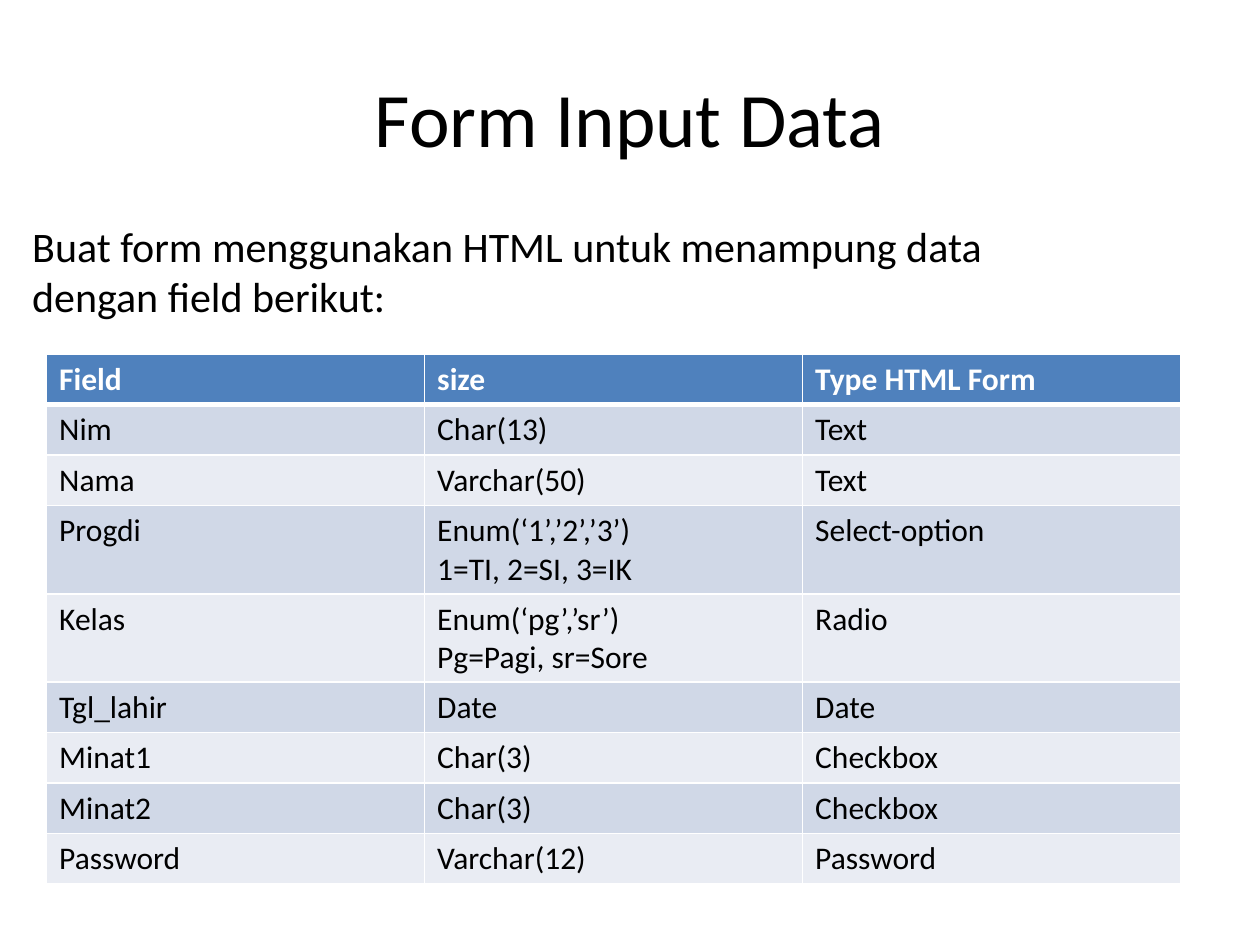
"""Build a slide that lists the fields of an HTML data entry form."""
from lxml.etree import SubElement
from pptx import Presentation
from pptx.dml.color import RGBColor
from pptx.enum.text import MSO_ANCHOR as Anchor, PP_ALIGN as Align
from pptx.oxml.ns import qn
from pptx.util import Cm, Pt

TITLE = "Form Input Data"
INTRO = "Buat form menggunakan HTML untuk menampung data\ndengan field berikut:"
ROWS = [
    ("Field", "size", "Type HTML Form"),
    ("Nim", "Char(13)", "Text"),
    ("Nama", "Varchar(50)", "Text"),
    ("Progdi", "Enum(‘1’,’2’,’3’)\n1=TI, 2=SI, 3=IK", "Select-option"),
    ("Kelas", "Enum(‘pg’,’sr’)\nPg=Pagi, sr=Sore", "Radio"),
    ("Tgl_lahir", "Date", "Date"),
    ("Minat1", "Char(3)", "Checkbox"),
    ("Minat2", "Char(3)", "Checkbox"),
    ("Password", "Varchar(12)", "Password"),
]
FONT = "Calibri"
BLACK = RGBColor(0, 0, 0)
WHITE = RGBColor(255, 255, 255)
BLUE = RGBColor(0x4F, 0x81, 0xBD)
BANDS = RGBColor(0xE9, 0xEC, 0xF3), RGBColor(0xD0, 0xD8, 0xE7)
LOW, LINE = 0.99, 0.74
THIN, THICK = Pt(0.96), Pt(3)


def write(frame, text, size, color=BLACK, bold=False, align=Align.LEFT):
    frame.text = text
    for para in frame.paragraphs:
        para.alignment = align
        for run in para.runs:
            font = run.font
            font.name, font.size, font.bold = FONT, Pt(size), bold
            font.color.rgb = color


def add_text(slide, box, text, size, align=Align.LEFT, anchor=Anchor.TOP):
    frame = slide.shapes.add_textbox(*map(Cm, box)).text_frame
    frame.word_wrap = True
    frame.vertical_anchor = anchor
    write(frame, text, size, align=align)


def set_edges(cell, top, bottom):
    props = cell._tc.get_or_add_tcPr()
    for side, width in zip("LRTB", (THIN, THIN, top, bottom)):
        edge = SubElement(props, qn(f"a:ln{side}"), w=str(int(width)))
        fill = SubElement(edge, qn("a:solidFill"))
        SubElement(fill, qn("a:srgbClr"), val=str(WHITE))


def add_grid(slide):
    highs = [LOW + LINE * max(text.count("\n") for text in row) for row in ROWS]
    box = map(Cm, (0.94, 7.14, 22.86, sum(highs)))
    grid = slide.shapes.add_table(len(ROWS), len(ROWS[0]), *box).table
    for r, row in enumerate(ROWS):
        grid.rows[r].height = Cm(highs[r])
        head = r == 0
        for c, text in enumerate(row):
            cell = grid.cell(r, c)
            set_edges(cell, THICK if r == 1 else THIN, THICK if head else THIN)
            cell.fill.solid()
            cell.fill.fore_color.rgb = BLUE if head else BANDS[r % 2]
            write(cell.text_frame, text, 18, WHITE if head else BLACK, head)


deck = Presentation()
deck.slide_width, deck.slide_height = Cm(25.4), Cm(19.05)
slide = deck.slides.add_slide(deck.slide_layouts[6])
add_text(slide, (1.27, 0.76, 22.86, 3.18), TITLE, 44, Align.CENTER, Anchor.MIDDLE)
add_grid(slide)
add_text(slide, (0.4, 4.32, 24.48, 2.29), INTRO, 24)
deck.save("out.pptx")
